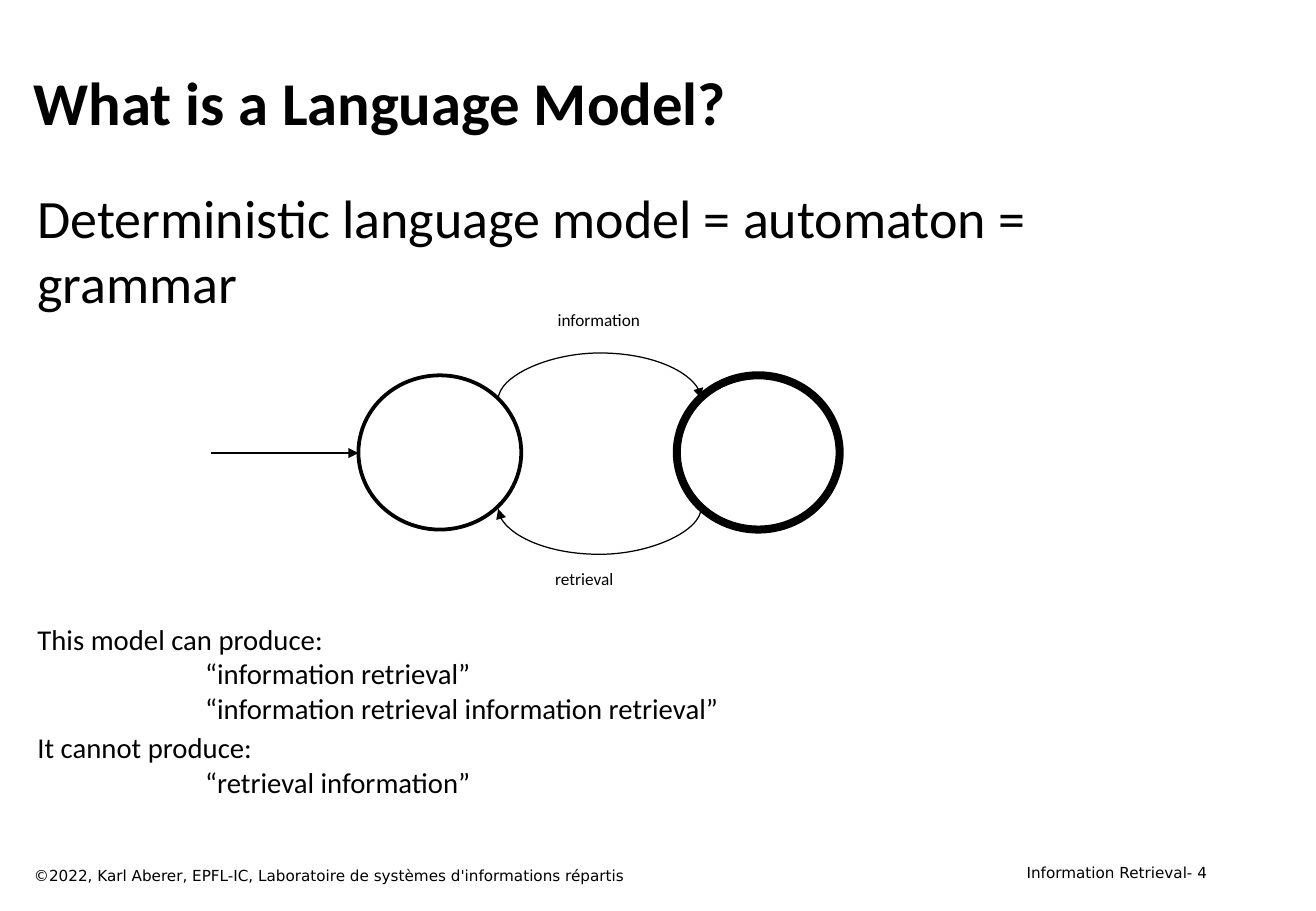
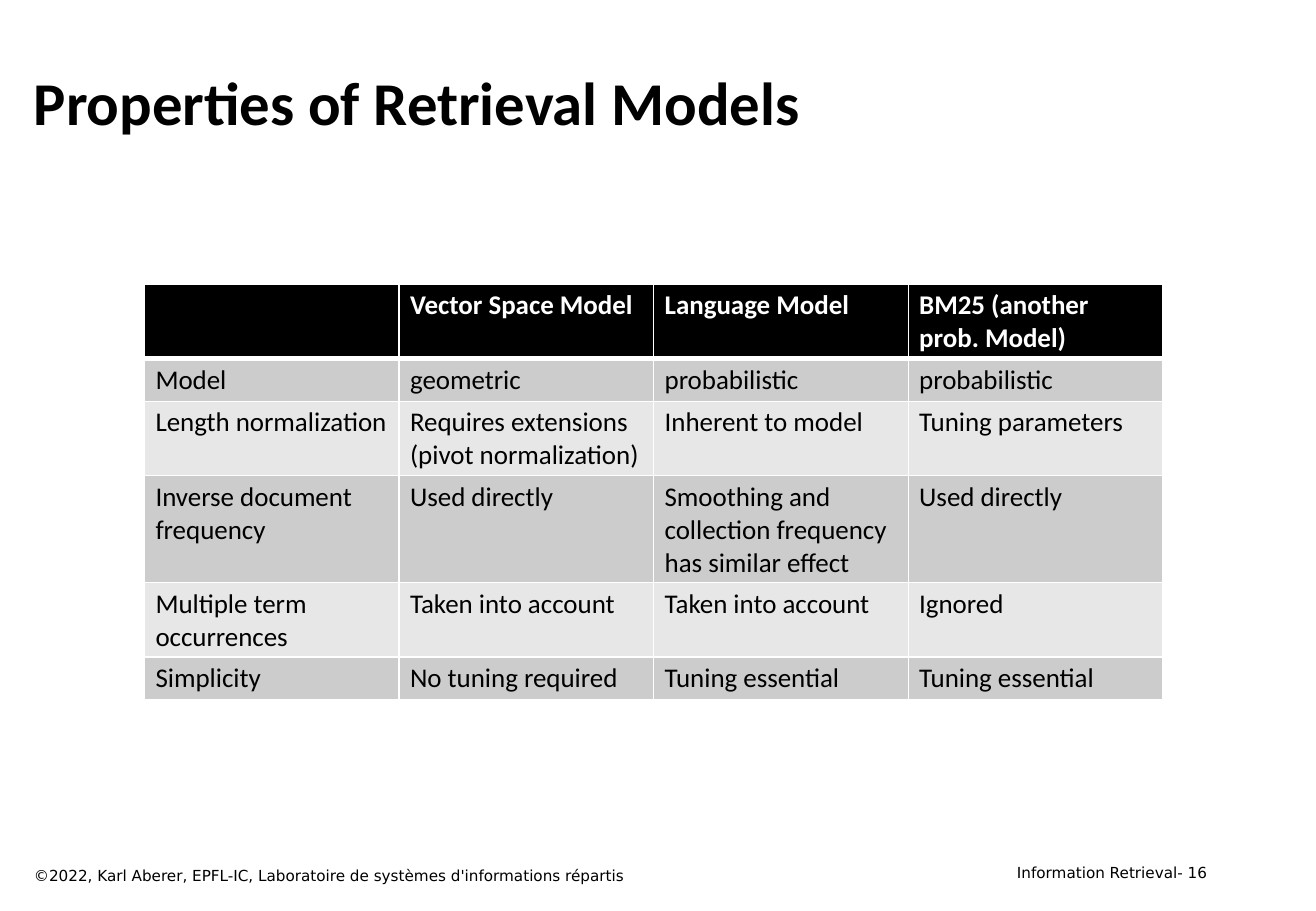
from lxml import etree
from pptx import Presentation
from pptx.dml.color import RGBColor
from pptx.enum.shapes import MSO_CONNECTOR, MSO_SHAPE
from pptx.enum.text import MSO_ANCHOR, PP_ALIGN
from pptx.oxml.ns import qn
from pptx.util import Pt

EMU_PER_PX = 9144  # 100 px to the inch
STRAIGHT, CURVE = MSO_CONNECTOR.STRAIGHT, MSO_CONNECTOR.CURVE
OVAL = MSO_SHAPE.OVAL
TOP, MIDDLE = MSO_ANCHOR.TOP, MSO_ANCHOR.MIDDLE
LEFT, RIGHT = PP_ALIGN.LEFT, PP_ALIGN.RIGHT

COLORS = {"ink": "000000", "paper": "FFFFFF", "band_dark": "CCCCCC", "band_light": "E7E7E7"}
BODY_FONT, FOOTER_FONT = "Calibri", "DejaVu Sans"
COPYRIGHT = "©2022, Karl Aberer, EPFL-IC, Laboratoire de systèmes d'informations répartis"

# Connection sites of an ellipse, counted anticlockwise from the top
TOP_LEFT, LEFT_SIDE, BOTTOM_LEFT, BOTTOM_RIGHT, TOP_RIGHT = 1, 2, 3, 5, 7

# Example lines: text, left indent in px, space before in points
EXAMPLES = [
    ("This model can produce:", 0, 0),
    ("“information retrieval”", 138, 0),
    ("“information retrieval information retrieval”", 138, 0),
    ("It cannot produce:", 0, 3),
    ("“retrieval information”", 138, 0),
]

PROPERTIES = [
    ["", "Vector Space Model", "Language Model", "BM25 (another prob. Model)"],
    ["Model", "geometric", "probabilistic", "probabilistic"],
    ["Length normalization", "Requires extensions (pivot normalization)",
     "Inherent to model", "Tuning parameters"],
    ["Inverse document frequency", "Used directly",
     "Smoothing and collection frequency has similar effect", "Used directly"],
    ["Multiple term occurrences", "Taken into account", "Taken into account", "Ignored"],
    ["Simplicity", "No tuning required", "Tuning essential", "Tuning essential"],
]
ROW_HEIGHTS = [61, 35, 61, 87, 61, 35]


def px(length):
    return length * EMU_PER_PX


def color(name):
    return RGBColor.from_string(COLORS[name])


def style_paragraph(para, size, font=BODY_FONT, bold=False, ink="ink"):
    for span in para.runs:
        span.font.name = font
        span.font.size = Pt(size)
        span.font.bold = bold
        span.font.color.rgb = color(ink)


def add_text(page, frame, text, size, font=BODY_FONT, bold=False,
             align=LEFT, anchor=TOP, wrap=True):
    box = page.shapes.add_textbox(*map(px, frame))
    box.text_frame.word_wrap = wrap
    box.text_frame.vertical_anchor = anchor
    box.text_frame.text = text
    for para in box.text_frame.paragraphs:
        para.alignment = align
        style_paragraph(para, size, font, bold)
    return box


def add_page(deck, title, number):
    """Blank page with the shared title and footers."""
    page = deck.slides.add_slide(deck.slide_layouts[6])
    add_text(page, (777, 706, 226, 25), f"Information Retrieval- {number}", 9,
             FOOTER_FONT, align=RIGHT)
    add_text(page, (18, 33, 984, 100), title, 36, bold=True, anchor=MIDDLE)
    add_text(page, (18, 708, 695, 25), COPYRIGHT, 9, FOOTER_FONT)
    return page


def add_state(page, left, line_width):
    state = page.shapes.add_shape(OVAL, px(left), px(309), px(134), px(127))
    state.shadow.inherit = False
    state.fill.solid()
    state.fill.fore_color.rgb = color("paper")
    state.line.color.rgb = color("ink")
    state.line.width = Pt(line_width)
    return state


def add_arrow(page, kind, start, end):
    arrow = page.shapes.add_connector(kind, *map(px, start + end))
    arrow.line.color.rgb = color("ink")
    arrow.line.width = Pt(0.75)
    properties = arrow.element.spPr
    etree.SubElement(properties.find(qn("a:ln")), qn("a:tailEnd"), type="triangle")
    etree.SubElement(properties, qn("a:effectLst"))
    return arrow


def join(arrow, tag, state, site):
    """Attach one end of an arrow to a connection site of a state."""
    holder = arrow.element.find(".//" + qn("p:cNvCxnSpPr"))
    etree.SubElement(holder, qn(tag), id=str(state.shape_id), idx=str(site))


def add_arc(page, start, end, bulge):
    """Quarter-turned curve whose bulge is a percentage of its 1 px depth."""
    arc = add_arrow(page, CURVE, start, end)
    properties = arc.element.spPr
    properties.find(qn("a:xfrm")).set("rot", str(90 * 60000))
    guides = properties.find(qn("a:prstGeom")).get_or_add_avLst()
    etree.SubElement(guides, qn("a:gd"), name="adj1", fmla=f"val {bulge * 1000}")
    return arc


def set_border(cell, side, width):
    border = etree.SubElement(cell._tc.get_or_add_tcPr(), qn("a:ln" + side), w=str(Pt(width)))
    fill = etree.SubElement(border, qn("a:solidFill"))
    etree.SubElement(fill, qn("a:srgbClr"), val=COLORS["paper"])


def style_cell(cell, row):
    header = row == 0
    for side in "LRTB":
        under_header = (row, side) in ((0, "B"), (1, "T"))
        set_border(cell, side, 3 if under_header else 1)
    cell.fill.solid()
    band = "band_dark" if row % 2 else "band_light"
    cell.fill.fore_color.rgb = color("ink" if header else band)
    cell.margin_left = cell.margin_right = px(9)
    cell.margin_top = cell.margin_bottom = px(4)
    style_paragraph(cell.text_frame.paragraphs[0], 16, bold=header,
                    ink="paper" if header else "ink")


def add_property_table(page):
    table = page.shapes.add_table(len(PROPERTIES), len(PROPERTIES[0]), px(119), px(234),
                                  px(838), px(sum(ROW_HEIGHTS))).table
    for row, texts in enumerate(PROPERTIES):
        table.rows[row].height = px(ROW_HEIGHTS[row])
        for column, text in enumerate(texts):
            cell = table.cell(row, column)
            cell.text = text
            style_cell(cell, row)


def add_automaton(page):
    first, final = add_state(page, 295, 2.25), add_state(page, 557, 4.75)
    entry = add_arrow(page, STRAIGHT, (174, 373), (295, 373))
    join(entry, "a:endCxn", first, LEFT_SIDE)

    forward = add_arc(page, (494, 412), (493, 245), 3900)
    join(forward, "a:stCxn", first, TOP_RIGHT)
    join(forward, "a:endCxn", final, TOP_LEFT)
    back = add_arc(page, (493, 335), (494, 502), 3900)
    join(back, "a:stCxn", final, BOTTOM_LEFT)
    join(back, "a:endCxn", first, BOTTOM_RIGHT)

    add_text(page, (449, 250, 89, 27), "information", 10.2, wrap=False)
    add_text(page, (447, 463, 69, 27), "retrieval", 10.2, wrap=False)


def add_examples(page):
    text = "\n".join(line for line, _, _ in EXAMPLES)
    box = add_text(page, (21, 507, 984, 160), text, 17)
    for para, (_, indent, space) in zip(box.text_frame.paragraphs, EXAMPLES):
        para.space_before = Pt(space)
        para._p.get_or_add_pPr().set("marL", str(px(indent)))


def main():
    deck = Presentation()
    deck.slide_width, deck.slide_height = px(1083), px(750)

    # Language model as an automaton
    page = add_page(deck, "What is a Language Model?", 4)
    add_text(page, (21, 147, 984, 120), "Deterministic language model = automaton = grammar", 32)
    add_automaton(page)
    add_examples(page)

    # Comparison of retrieval models
    page = add_page(deck, "Properties of Retrieval Models", 16)
    add_property_table(page)

    deck.save("out.pptx")


if __name__ == "__main__":
    main()
